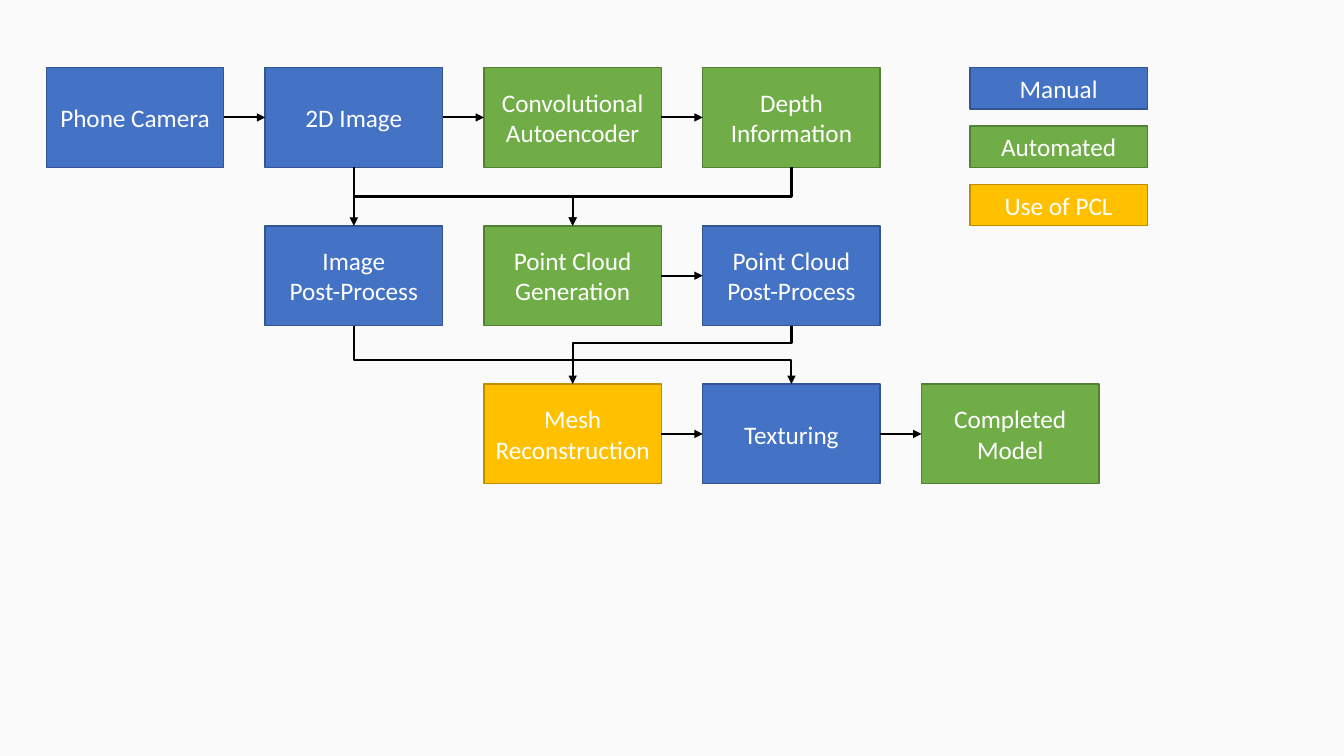
"""Build the phone-camera to textured-model pipeline slide."""
import pptx
import pptx.util
import pptx.dml.color
import pptx.enum.shapes
import pptx.enum.text
import pptx.oxml
import pptx.oxml.ns

COLOURS = {"background": "FAFAFA", "text": "FFFFFF", "arrow": "000000",
           "manual": "4472C4", "manual edge": "325491",
           "automated": "70AD47", "automated edge": "538035",
           "pcl": "FFC000", "pcl edge": "BD8E00"}
FONT = {"name": "Calibri", "size": pptx.util.Pt(18)}

STEPS = {
    "camera": ("Phone Camera", 0, 0, "manual"),
    "image": ("2D Image", 1, 0, "manual"),
    "autoencoder": ("Convolutional Autoencoder", 2, 0, "automated"),
    "depth": ("Depth Information", 3, 0, "automated"),
    "image post": ("Image\nPost-Process", 1, 1, "manual"),
    "cloud": ("Point Cloud Generation", 2, 1, "automated"),
    "cloud post": ("Point Cloud Post-Process", 3, 1, "manual"),
    "mesh": ("Mesh Reconstruction", 2, 2, "pcl"),
    "texturing": ("Texturing", 3, 2, "manual"),
    "model": ("Completed Model", 4, 2, "automated"),
}
ACROSS = [("camera", "image"), ("image", "autoencoder"), ("autoencoder", "depth"),
          ("cloud", "cloud post"), ("mesh", "texturing"), ("texturing", "model")]
DOWN = [("image", "image post")]
BENT = [("image", "cloud", 0.5), ("depth", "cloud", 0.5),
        ("cloud post", "mesh", 0.3), ("image post", "texturing", 0.59)]
LEGEND = [("Manual", "manual"), ("Automated", "automated"), ("Use of PCL", "pcl")]

LEFT, TOP, WIDTH, HEIGHT = 0.46, 0.67, 1.76, 0.99
COLUMN_PITCH, ROW_PITCH = 2.17, 1.57
LEGEND_LEFT, LEGEND_HEIGHT, LEGEND_PITCH = 9.62, 0.41, 0.58
TOP_SITE, LEFT_SITE, BOTTOM_SITE, RIGHT_SITE = range(4)


def rgb(name):
    return pptx.dml.color.RGBColor.from_string(COLOURS[name])


def add_box(text, kind, left, top, height):
    box = s.shapes.add_shape(pptx.enum.shapes.MSO_SHAPE.RECTANGLE,
                             *map(pptx.util.Inches, (left, top, WIDTH, height)))
    box.shadow.inherit = False
    box.fill.solid()
    box.fill.fore_color.rgb = rgb(kind)
    box.line.color.rgb = rgb(kind + " edge")
    box.line.width = pptx.util.Pt(1)
    tf = box.text_frame
    tf.word_wrap = True
    tf.vertical_anchor = pptx.enum.text.MSO_ANCHOR.MIDDLE
    tf.text = text
    for p in tf.paragraphs:
        p.alignment = pptx.enum.text.PP_ALIGN.CENTER
        for r in p.runs:
            r.font.color.rgb = rgb("text")
            for key, value in FONT.items():
                setattr(r.font, key, value)
    return box


def add_arrow(start, end, start_site, end_site, kind="STRAIGHT"):
    arrow = s.shapes.add_connector(getattr(pptx.enum.shapes.MSO_CONNECTOR, kind), 0, 0, 0, 0)
    arrow.begin_connect(boxes[start], start_site)
    arrow.end_connect(boxes[end], end_site)
    arrow.line.color.rgb = rgb("arrow")
    arrow.line.width = pptx.util.Pt(1.5)
    pptx.oxml.ns.qn("a:ln")
    line = arrow.line._get_or_add_ln()
    line.append(pptx.oxml.parse_xml(
        f'<a:tailEnd {pptx.oxml.ns.nsdecls("a")} type="triangle"/>'))
    arrow._element.spPr.append(pptx.oxml.parse_xml(
        f'<a:effectLst {pptx.oxml.ns.nsdecls("a")}/>'))
    return arrow


def add_bent_arrow(start, end, share):
    arrow = add_arrow(start, end, BOTTOM_SITE, TOP_SITE, "ELBOW")
    x, y, run, drop = arrow.left, arrow.top, arrow.width, arrow.height
    rightward = boxes[end].left > boxes[start].left
    placing = {"left": x + (run - drop) // 2, "top": y + (drop - run) // 2,
               "width": drop, "height": run}
    for key, value in placing.items():
        setattr(arrow, key, value)
    properties = arrow._element.spPr
    frame = properties.find(pptx.oxml.ns.qn("a:xfrm"))
    frame.set("rot", str((270 if rightward else 90) * 60000))
    frame.set("flipH", str(int(rightward)))
    frame.set("flipV", "0")
    geometry = properties.find(pptx.oxml.ns.qn("a:prstGeom"))
    adjustments = geometry.find(pptx.oxml.ns.qn("a:avLst"))
    adjustments.append(pptx.oxml.parse_xml(
        f'<a:gd {pptx.oxml.ns.nsdecls("a")} name="adj1" fmla="val {round(share * 100000)}"/>'))


prs = pptx.Presentation()
prs.slide_width, prs.slide_height = pptx.util.Inches(13.33), pptx.util.Inches(7.5)
s = prs.slides.add_slide(prs.slide_layouts[6])
s.background.fill.solid()
s.background.fill.fore_color.rgb = rgb("background")

boxes = {name: add_box(text, kind, LEFT + column * COLUMN_PITCH, TOP + row * ROW_PITCH, HEIGHT)
         for name, (text, column, row, kind) in STEPS.items()}
for start, end in ACROSS:
    add_arrow(start, end, RIGHT_SITE, LEFT_SITE)
for start, end in DOWN:
    add_arrow(start, end, BOTTOM_SITE, TOP_SITE)
for start, end, share in BENT:
    add_bent_arrow(start, end, share)
for i, (text, kind) in enumerate(LEGEND):
    add_box(text, kind, LEGEND_LEFT, TOP + i * LEGEND_PITCH, LEGEND_HEIGHT)

prs.save("out.pptx")
